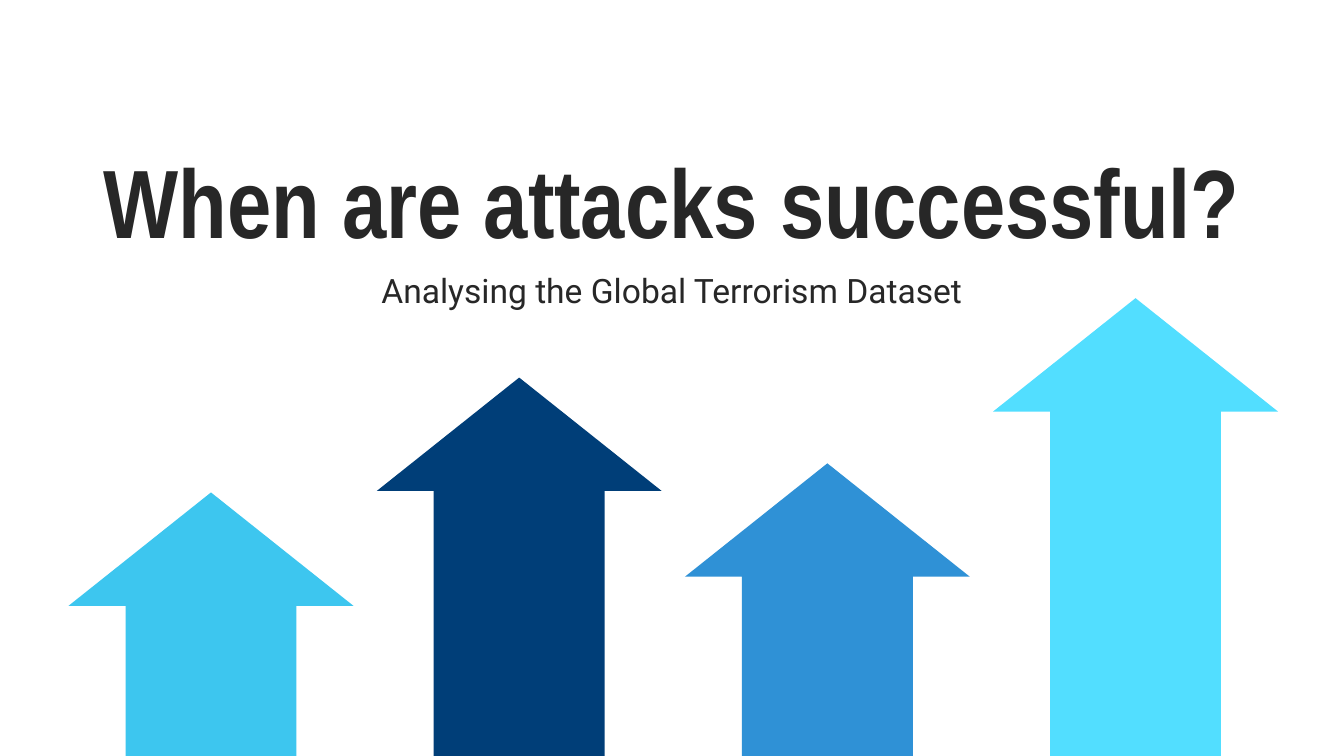
import pptx
import pptx.util
from pptx.dml.color import RGBColor
from pptx.enum.text import MSO_ANCHOR, PP_ALIGN

INK = RGBColor(0x27, 0x27, 0x27)
WHITE = RGBColor(0xFF, 0xFF, 0xFF)
SKY = RGBColor(0x3D, 0xC6, 0xEF)
NAVY = RGBColor(0x00, 0x3E, 0x78)
BLUE = RGBColor(0x2F, 0x91, 0xD6)
CYAN = RGBColor(0x52, 0xDE, 0xFF)

# A 16:9 slide on a grid of 100 columns and 100 rows
WIDTH = pptx.util.Inches(10)
HEIGHT = WIDTH * 9 // 16
COLUMN = WIDTH / 100
ROW = HEIGHT / 100

# Spacing and proportions that every arrow shares
FIRST_LEFT = 5.1 * COLUMN
ARROW_PITCH = 22.93 * COLUMN
ARROW_WIDTH = 21.2 * COLUMN
HEAD_HEIGHT = 15 * ROW
STEM_LEFT, STEM_RIGHT = 0.2, 0.8

# Colour, top row and bottom row; the stems run off the slide
ARROWS = [
    (SKY, 65.15, 101.5),
    (NAVY, 49.95, 105.4),
    (BLUE, 61.3, 104.5),
    (CYAN, 39.45, 106),
]


def add_line_of_text(page, box, text, font_name, size, anchor, bold=False):
    frame = page.shapes.add_textbox(*map(round, box)).text_frame
    frame.word_wrap = True
    frame.vertical_anchor = anchor
    inset = pptx.util.Inches(0.1)
    frame.margin_left = frame.margin_right = inset
    frame.margin_top = frame.margin_bottom = inset
    para = frame.paragraphs[0]
    para.text = text
    para.alignment = PP_ALIGN.CENTER
    para.font.name = font_name
    para.font.size = pptx.util.Pt(size)
    para.font.bold = bold
    para.font.color.rgb = INK
    return para


def add_heading(page, left, top, width, height):
    """Place the title and, slightly overlapping it, the subtitle."""
    add_line_of_text(page, (left, top, width, 0.69 * height),
                     "When are attacks successful?",
                     "Arial Narrow", 52, MSO_ANCHOR.BOTTOM, bold=True)
    subtitle = add_line_of_text(page, (left, top + 0.62 * height, width, 0.38 * height),
                                "Analysing the Global Terrorism Dataset",
                                "Roboto", 18, MSO_ANCHOR.TOP)
    subtitle.line_spacing = 1.15
    subtitle.space_after = pptx.util.Pt(16)


def add_up_arrow(page, left, top, width, height, colour):
    shoulder = HEAD_HEIGHT / height
    outline = [(0.5, 0), (0, shoulder), (STEM_LEFT, shoulder), (STEM_LEFT, 1),
               (STEM_RIGHT, 1), (STEM_RIGHT, shoulder), (1, shoulder)]
    points = [(round(left + x * width), round(top + y * height)) for x, y in outline]
    builder = page.shapes.build_freeform(*points[0])
    builder.add_line_segments(points[1:], close=True)
    arrow = builder.convert_to_shape()
    arrow.shadow.inherit = False
    arrow.fill.solid()
    arrow.fill.fore_color.rgb = colour
    arrow.line.fill.background()


def main():
    deck = pptx.Presentation()
    deck.slide_width, deck.slide_height = WIDTH, HEIGHT
    page = deck.slides.add_slide(deck.slide_layouts[6])
    page.background.fill.solid()
    page.background.fill.fore_color.rgb = WHITE

    add_heading(page, 5 * COLUMN, 7.9 * ROW, 90 * COLUMN, 40.6 * ROW)
    # The tallest arrow lies behind the others
    for place, (colour, top, bottom) in reversed(list(enumerate(ARROWS))):
        add_up_arrow(page, FIRST_LEFT + place * ARROW_PITCH, top * ROW,
                     ARROW_WIDTH, (bottom - top) * ROW, colour)

    deck.save("out.pptx")


if __name__ == "__main__":
    main()
